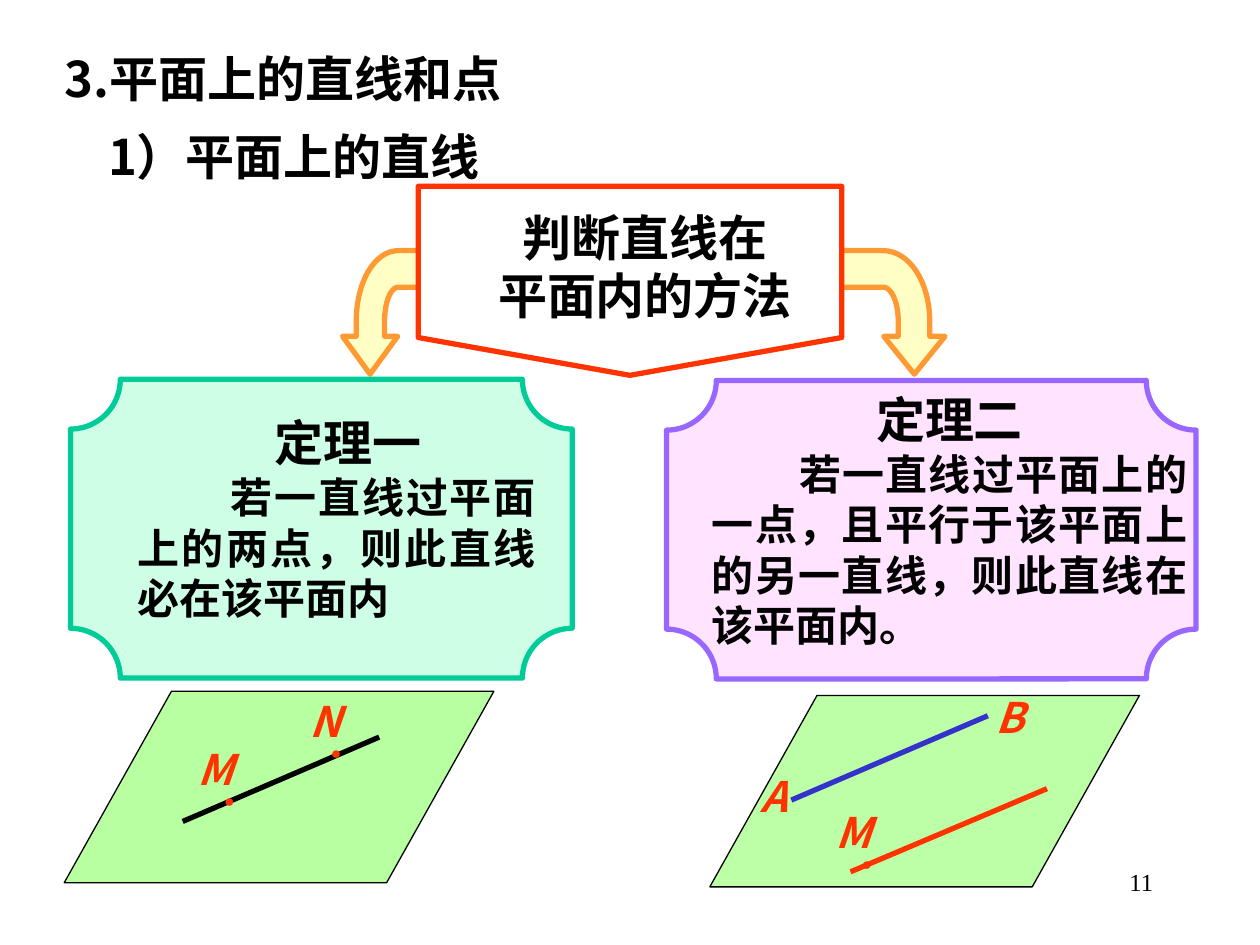
from dataclasses import dataclass

from lxml import etree
from pptx import Presentation
from pptx import util as u
from pptx.dml.color import RGBColor
from pptx.enum import shapes, text
from pptx.oxml.ns import qn

Pt = u.Pt
Kind = shapes.MSO_SHAPE
Align = text.PP_ALIGN


@dataclass(frozen=True)
class Theme:
    sans: str = "Noto Sans CJK SC"
    serif: str = "Times New Roman"
    black: str = "000000"
    white: str = "FFFFFF"
    red: str = "FF3300"
    blue: str = "3333CC"
    orange: str = "FF9933"
    yellow: str = "FFFF99"
    teal: str = "00CC99"
    mint: str = "99FFCC"
    purple: str = "9966FF"
    pink: str = "FF99FF"
    lime: str = "66FF33"
    head: int = 28
    body: int = 24
    page: int = 14
    dot: int = 10
    thick: float = 3
    thin: float = 0.75


T = Theme()


def paint(shape, fill, line, width=T.thick, alpha=100):
    """Fill and outline a shape; alpha is opacity in percent."""
    shape.shadow.inherit = False
    shape.fill.solid()
    shape.fill.fore_color.rgb = RGBColor.from_string(fill)
    if alpha < 100:
        clr = shape.fill._xPr.find(".//" + qn("a:srgbClr"))
        etree.SubElement(clr, qn("a:alpha")).set("val", str(alpha * 1000))
    shape.line.color.rgb = RGBColor.from_string(line)
    shape.line.width = Pt(width)


def block(slide, kind, box, fill, line, **look):
    shape = slide.shapes.add_shape(kind, *map(Pt, box))
    paint(shape, fill, line, **look)
    return shape


def frame(slide, box, wrap=True, anchor=text.MSO_ANCHOR.MIDDLE):
    tf = slide.shapes.add_textbox(*map(Pt, box)).text_frame
    tf.word_wrap = wrap
    tf.vertical_anchor = anchor
    return tf


def write(para, words, size, color=T.black, font=T.sans, bold=True, slant=False):
    run = para.add_run()
    run.text = words
    run.font.size = Pt(size)
    run.font.name = font
    run.font.bold = bold
    run.font.italic = slant
    run.font.color.rgb = RGBColor.from_string(color)


def title(slide, box, words):
    write(frame(slide, box).paragraphs[0], words, T.head)


def tag(slide, left, top, words):
    """Red italic name of a point or line."""
    tf = frame(slide, (left, top, 32, 36), False, text.MSO_ANCHOR.TOP)
    write(tf.paragraphs[0], words, T.body, T.red, slant=True)


def dot(slide, left, top):
    tf = frame(slide, (left, top, 23, 19), False, text.MSO_ANCHOR.TOP)
    write(tf.paragraphs[0], "●", T.dot, T.red, T.serif, False)


def stroke(slide, ends, color):
    line = slide.shapes.add_connector(shapes.MSO_CONNECTOR.STRAIGHT, *map(Pt, ends))
    line.line.color.rgb = RGBColor.from_string(color)
    line.line.width = Pt(T.thick)
    etree.SubElement(line._element.spPr, qn("a:effectLst"))


def curve(a, b, c, d, steps=16):
    """Points along a cubic curve, after its start."""
    for i in range(1, steps + 1):
        t = i / steps
        s = 1 - t
        yield tuple(s**3 * p + 3 * s * s * t * q + 3 * s * t * t * r + t**3 * v
                    for p, q, r, v in zip(a, b, c, d))


def arrow(slide, tip, side):
    """Bent arrow pointing down at tip; side scales and mirrors its width."""
    pts = [(0, 0), (17.5, -21.6), (8.8, -21.6), (8.8, -30.2)]
    pts += curve((8.8, -30.2), (8.8, -52.6), (-2.8, -70.6), (-18, -70.6))
    pts += [(-44.6, -70.6), (-44.6, -49.7), (-18, -49.7)]
    pts += curve((-18, -49.7), (-13, -49.7), (-9.2, -41), (-9.2, -30.2))
    pts += [(-9.2, -21.6), (-17.5, -21.6)]
    pts = [(Pt(tip + side * x), Pt(213.8 + y)) for x, y in pts]
    pen = slide.shapes.build_freeform(*pts[0])
    pen.add_line_segments(pts[1:], close=True)
    paint(pen.convert_to_shape(), T.yellow, T.orange, alpha=56)


def lemma(slide, box, name, words, indent, shift=0):
    """Centred heading, then a justified body with an indented first line."""
    tf = frame(slide, box)
    head, body = tf.paragraphs[0], tf.add_paragraph()
    head.alignment, body.alignment = Align.CENTER, Align.JUSTIFY
    head._p.get_or_add_pPr().set("marL", str(Pt(shift)))
    body._p.get_or_add_pPr().set("indent", str(Pt(indent)))
    write(head, name, T.head, font=T.serif)
    write(body, words, T.body, font=T.serif)


def plane(slide, left, top, alpha):
    shape = block(slide, Kind.PARALLELOGRAM, (left, top, 245.5, 109.4),
                  T.lime, T.black, width=T.thin, alpha=alpha)
    shape.adjustments[0] = 0.56


def main():
    prs = Presentation()
    prs.slide_width, prs.slide_height = Pt(720), Pt(540)
    slide = prs.slides.add_slide(prs.slide_layouts[6])

    # Page number
    num = frame(slide, (516, 492, 150, 36), anchor=text.MSO_ANCHOR.TOP).paragraphs[0]
    num.alignment = Align.RIGHT
    write(num, "11", T.page, font=T.serif, bold=False)

    # Arrows and titles
    arrow(slide, 522.5, 1)
    arrow(slide, 211.5, -0.9)
    title(slide, (30, 24, 410, 41), "3.平面上的直线和点")

    # Question at the top
    block(slide, Kind.FLOWCHART_OFFPAGE_CONNECTOR, (239, 106.5, 242, 108),
          T.white, T.red)
    tf = frame(slide, (240.5, 114.5, 256, 75))
    for para, words in zip((tf.paragraphs[0], tf.add_paragraph()),
                           ("判断直线在", "平面内的方法")):
        para.alignment = Align.CENTER
        write(para, words, T.head, font=T.serif)

    # Two theorems
    block(slide, Kind.PLAQUE, (40.3, 216.7, 286.7, 170.8), T.mint, T.teal, alpha=48)
    lemma(slide, (71.3, 229.7, 242, 132.5), "定理一",
          "若一直线过平面上的两点，则此直线必在该平面内", 53.5, 13)
    block(slide, Kind.PLAQUE, (380.9, 217.4, 302.6, 170.6), T.pink, T.purple, alpha=27)
    lemma(slide, (399.6, 219, 286, 156), "定理二",
          "若一直线过平面上的一点，且平行于该平面上的另一直线，则此直线在该平面内。", 50)
    title(slide, (54.7, 68.5, 385, 41), "1）平面上的直线")

    # Plane with a line through two points
    plane(slide, 36.7, 395, 46)
    stroke(slide, (104.4, 469.4, 216.7, 421.2), T.black)
    dot(slide, 182, 420.5)
    dot(slide, 121, 447.8)
    tag(slide, 105.8, 421.2, "M")
    tag(slide, 170, 393.8, "N")

    # Plane with two parallel lines
    plane(slide, 405.6, 397.4, 43)
    stroke(slide, (452.2, 457.2, 564.5, 409), T.blue)
    tag(slide, 427.7, 437, "A")
    tag(slide, 561.6, 391.7, "B")
    dot(slide, 485.3, 483.8)
    tag(slide, 470.2, 457.2, "M")
    stroke(slide, (486, 498.2, 598.3, 450.7), T.red)

    prs.save("out.pptx")


if __name__ == "__main__":
    main()
